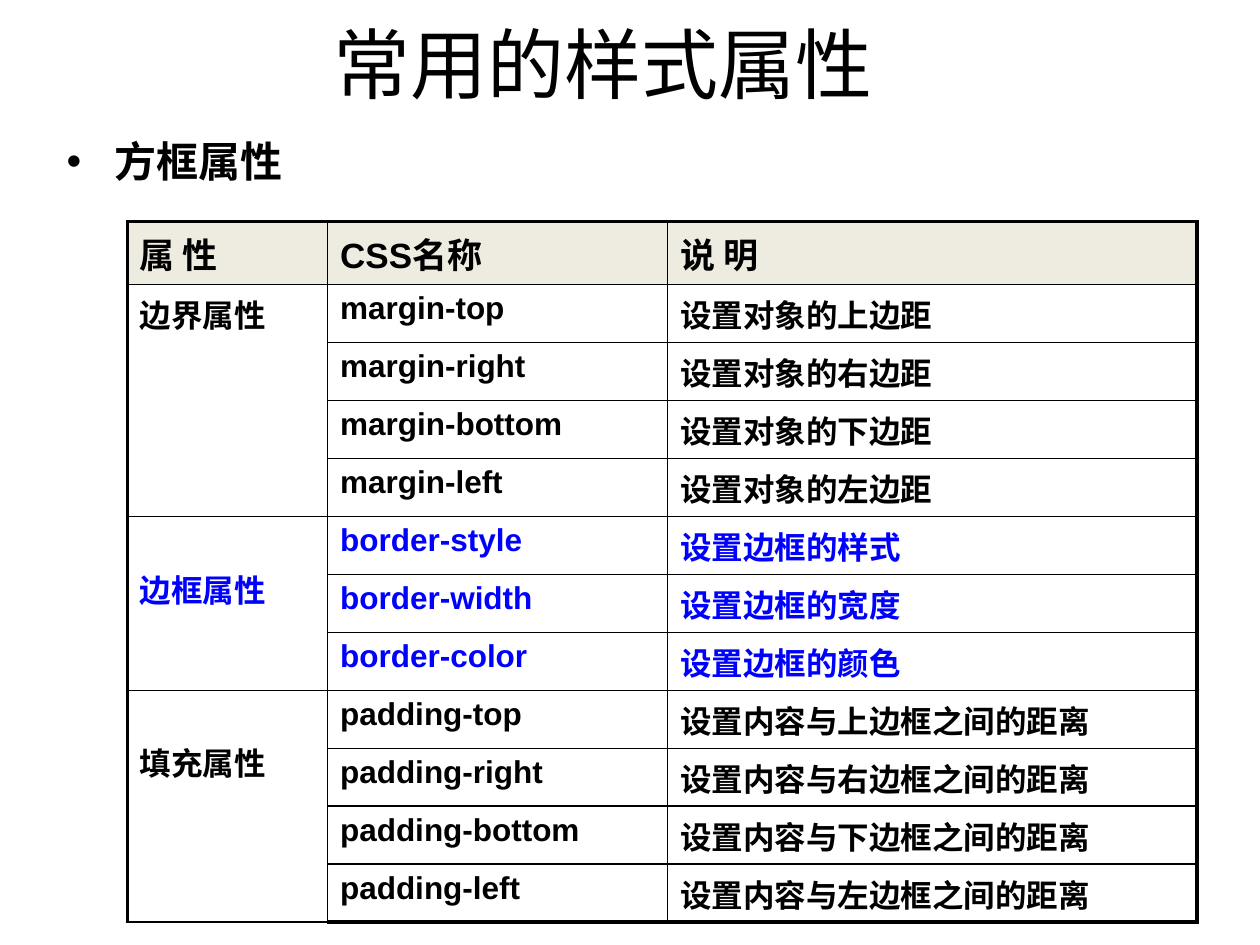
"""Build the slide on common CSS box properties."""
import pptx
import pptx.util
import pptx.dml.color
import pptx.enum.text
import pptx.oxml
import pptx.oxml.ns

Inches, Pt = pptx.util.Inches, pptx.util.Pt
ALIGN, ANCHOR = pptx.enum.text.PP_ALIGN, pptx.enum.text.MSO_ANCHOR
HUES = {"ink": "000000", "blue": "0000FF", "head": "EEECE1"}
NS = pptx.oxml.ns.nsdecls("a")


def write(frame, text, size=18, font="Arial", hue="ink", bold=True,
          align=ALIGN.LEFT, anchor=ANCHOR.TOP):
    frame.word_wrap = True
    frame.vertical_anchor = anchor
    para = frame.paragraphs[0]
    para.alignment = align
    run = para.add_run()
    run.text = text
    run.font.size, run.font.name, run.font.bold = Pt(size), font, bold
    run.font.color.rgb = pptx.dml.color.RGBColor.from_string(HUES[hue])
    return para


def edge(cell, widths):
    props = cell._tc.get_or_add_tcPr()
    for spot, (side, width) in enumerate(zip("LRTB", widths)):
        props.insert(spot, pptx.oxml.parse_xml(
            f'<a:ln{side} {NS} w="{Pt(width)}"><a:solidFill>'
            f'<a:srgbClr val="{HUES["ink"]}"/></a:solidFill></a:ln{side}>'))


deck = pptx.Presentation()
deck.slide_width, deck.slide_height = Inches(10), Inches(7.5)
slide = deck.slides.add_slide(deck.slide_layouts[6])
shapes = slide.shapes

title = shapes.add_textbox(Inches(1.02), Inches(0), Inches(7.53), Inches(0.99))
write(title.text_frame, "常用的样式属性", size=44, font="Calibri", bold=False,
      align=ALIGN.CENTER, anchor=ANCHOR.MIDDLE)

groups = [
    ("边界属性", "ink", 0.05, [
        ("margin-" + end, f"设置对象的{word}边距") for end, word in
        zip(("top", "right", "bottom", "left"), "上右下左")]),
    ("边框属性", "blue", 0.39, [
        ("border-" + end, f"设置边框的{word}") for end, word in
        zip(("style", "width", "color"), ("样式", "宽度", "颜色"))]),
    ("填充属性", "ink", 0.39, [
        ("padding-" + end, f"设置内容与{word}边框之间的距离") for end, word in
        zip(("top", "right", "bottom", "left"), "上右下左")]),
]
count = 1 + sum(len(group[3]) for group in groups)
wide = (1.59, 2.7, 4.2)
tall = [0.5] + [0.46] * (count - 1)
grid = shapes.add_table(count, len(wide), Inches(1.01), Inches(1.76),
                        Inches(sum(wide)), Inches(sum(tall))).table
grid.first_row = grid.horz_banding = False
for col, width in zip(grid.columns, wide):
    col.width = Inches(width)
for row, height in zip(grid.rows, tall):
    row.height = Inches(height)

for row in range(count):
    for col in range(len(wide)):
        cell = grid.cell(row, col)
        if row == 0:
            cell.fill.solid()
            cell.fill.fore_color.rgb = pptx.dml.color.RGBColor.from_string(HUES["head"])
        else:
            cell.fill.background()
        outer = (col == 0, col == len(wide) - 1, row == 0, row == count - 1)
        edge(cell, [2.25 if side else 1 for side in outer])

for col, text in enumerate(("属 性", "CSS名称", "说 明")):
    write(grid.cell(0, col).text_frame, text, size=20)

top = 1
for label, hue, gap, items in groups:
    first = grid.cell(top, 0)
    first.merge(grid.cell(top + len(items) - 1, 0))
    first.margin_top = Inches(gap)
    write(first.text_frame, label, hue=hue)
    for row, pair in enumerate(items, top):
        for col, text in enumerate(pair, 1):
            write(grid.cell(row, col).text_frame, text, hue=hue)
    top += len(items)

body = shapes.add_textbox(Inches(0.43), Inches(1.03), Inches(9), Inches(4.95))
para = write(body.text_frame, "方框属性", size=24, font="DejaVu Sans")
props = para._p.get_or_add_pPr()
props.set("marL", str(Inches(0.38)))
props.set("indent", str(-Inches(0.38)))
props.append(pptx.oxml.parse_xml(f'<a:buFont {NS} typeface="Arial"/>'))
props.append(pptx.oxml.parse_xml(f'<a:buChar {NS} char="•"/>'))

deck.save("out.pptx")
